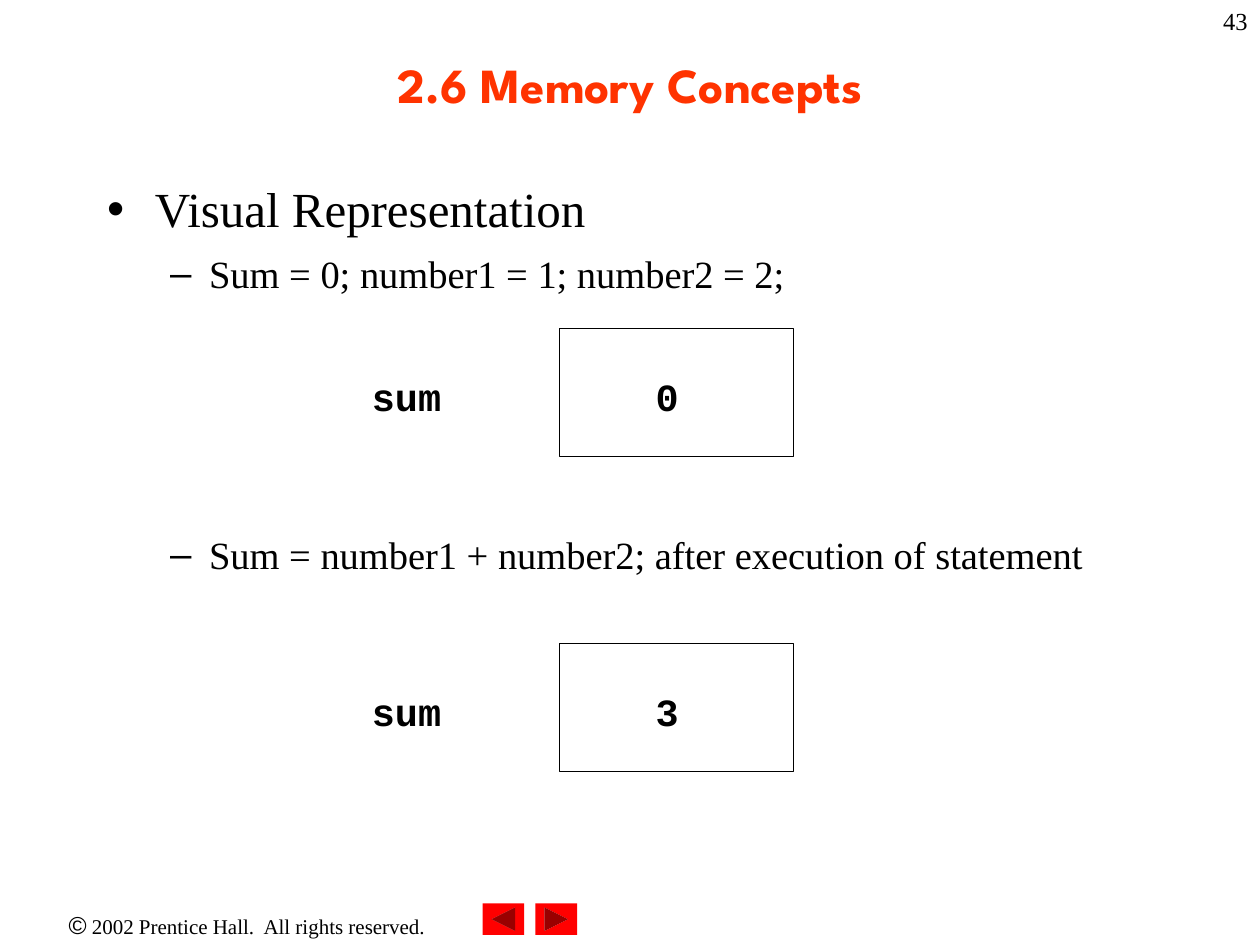
import pptx
import pptx.util
import pptx.dml.color
import pptx.enum.shapes
import pptx.enum.text
import pptx.oxml.ns
from lxml import etree

Inches, Pt = pptx.util.Inches, pptx.util.Pt
ALIGN, ANCHOR = pptx.enum.text.PP_ALIGN, pptx.enum.text.MSO_ANCHOR
SHAPE = pptx.enum.shapes.MSO_SHAPE
SERIF = "Times New Roman"
BLACK, WHITE, RED, TITLE_RED = "000000", "FFFFFF", "FF0000", "FF3300"


def color(value):
    return pptx.dml.color.RGBColor.from_string(value)


def format_font(font, name, size, hex_color=BLACK, bold=False):
    font.name, font.size, font.bold = name, Pt(size), bold
    font.color.rgb = color(hex_color)


def place(shape, box):
    shape.left, shape.top, shape.width, shape.height = map(Inches, box)


def add_text(shapes, box, runs, align=ALIGN.LEFT, inset=True, wrap=True):
    """Add a one-paragraph text box; each run is (text, font, size, bold)."""
    frame = shapes.add_textbox(*map(Inches, box)).text_frame
    frame.word_wrap = wrap
    if not inset:
        frame.margin_left = frame.margin_right = 0
        frame.margin_top = frame.margin_bottom = 0
    paragraph = frame.paragraphs[0]
    paragraph.alignment = align
    for text, name, size, bold in runs:
        run = paragraph.add_run()
        run.text = text
        format_font(run.font, name, size, bold=bold)


def add_box(shapes, preset, box, fill, line=None):
    shape = shapes.add_shape(preset, *map(Inches, box))
    shape.shadow.inherit = False
    shape.fill.solid()
    shape.fill.fore_color.rgb = color(fill)
    if line:
        shape.line.color.rgb = color(line)
        shape.line.width = Pt(0.5)
    else:
        shape.line.fill.background()


def set_bullet(paragraph, character, left, hanging):
    properties = paragraph._p.get_or_add_pPr()
    properties.set("marL", str(Inches(left)))
    properties.set("indent", str(-Inches(hanging)))
    bullet = etree.SubElement(properties, pptx.oxml.ns.qn("a:buChar"))
    bullet.set("char", character)


def fill_title(title, box, text):
    place(title, box)
    frame = title.text_frame
    frame.text = text
    frame.auto_size = pptx.enum.text.MSO_AUTO_SIZE.NONE
    frame.vertical_anchor = ANCHOR.MIDDLE
    paragraph = frame.paragraphs[0]
    paragraph.alignment = ALIGN.CENTER
    format_font(paragraph.runs[0].font, "League Spartan", 28, TITLE_RED, True)


def fill_body(body, box, items):
    """Fill the list; each item is (text, level, space before)."""
    levels = [("•", 0.38, 0.38, 28), ("–", 0.81, 0.31, 22)]
    place(body, box)
    frame = body.text_frame
    frame.text = "\n".join(text for text, _, _ in items)
    frame.auto_size = pptx.enum.text.MSO_AUTO_SIZE.NONE
    frame.vertical_anchor = ANCHOR.TOP
    for paragraph, (_, level, space) in zip(frame.paragraphs, items):
        character, left, hanging, size = levels[level]
        paragraph.level = level
        paragraph.space_before = Pt(space)
        set_bullet(paragraph, character, left, hanging)
        format_font(paragraph.runs[0].font, SERIF, size)


def add_memory_cell(slide, box, name, value):
    """Draw a named memory location: the name left of a box with its value."""
    left, top, width, height = box
    shapes = slide.shapes.add_group_shape().shapes
    add_box(shapes, SHAPE.RECTANGLE, box, WHITE, BLACK)
    for text, offset, text_width in [(name, -0.8, 0.55), (value, 0.41, 0.18)]:
        text_box = (left + offset * width, top + 0.35 * height, text_width, 0.37)
        add_text(shapes, text_box, [(text, "Courier New", 22, True)],
                 inset=False, wrap=False)


def add_footer(slide, box):
    left, top, width, height = box
    add_text(slide.shapes, (left, top, 0.392 * width, height),
             [("©", "Arial", 14, False),
              (" 2002 Prentice Hall.  All rights reserved.", SERIF, 12, False)],
             ALIGN.CENTER)
    buttons = [SHAPE.ACTION_BUTTON_BACK_OR_PREVIOUS,
               SHAPE.ACTION_BUTTON_FORWARD_OR_NEXT]
    for index, button in enumerate(buttons):
        button_left = left + 0.383 * width + 0.42 * index
        add_box(slide.shapes, button, (button_left, top, 0.33, 0.25), RED)


def main():
    presentation = pptx.Presentation()
    presentation.slide_width, presentation.slide_height = Inches(10), Inches(7.5)
    slide = presentation.slides.add_slide(presentation.slide_layouts[1])
    add_footer(slide, (0, 7.17, 10, 0.33))
    add_text(slide.shapes, (7.92, 0, 2.08, 0.5), [("43", SERIF, 14, False)],
             ALIGN.RIGHT)
    fill_title(slide.shapes.title, (0.75, 0.08, 8.5, 1.17), "2.6 Memory Concepts")
    fill_body(slide.placeholders[1], (0.75, 1.37, 8.5, 5.71), [
        ("Visual Representation", 0, 0),
        ("Sum = 0; number1 = 1; number2 = 2;", 1, 7),
        ("Sum = number1 + number2; after execution of statement", 1, 134),
    ])
    for row, value in enumerate(["0", "3"]):
        add_memory_cell(slide, (4.44, 2.61 + 2.5 * row, 1.86, 1.01), "sum", value)
    presentation.save("out.pptx")


if __name__ == "__main__":
    main()
